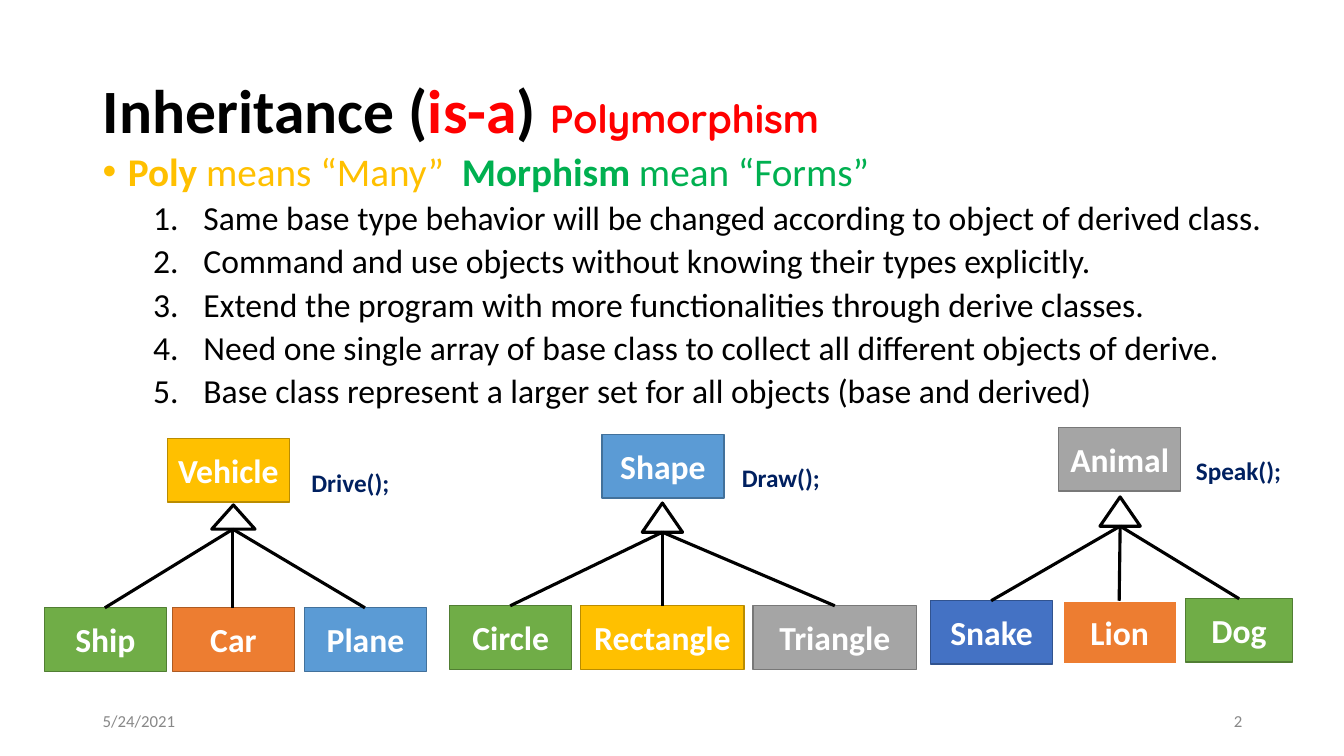
import pptx
import pptx.util
import pptx.dml.color
import pptx.enum.shapes
import pptx.enum.text
from lxml import etree

PX = 9144  # 100 px to the inch
RGB = pptx.dml.color.RGBColor
SHAPES = pptx.enum.shapes.MSO_SHAPE
ALIGN = pptx.enum.text.PP_ALIGN
MIDDLE = pptx.enum.text.MSO_ANCHOR.MIDDLE
A = "{http://schemas.openxmlformats.org/drawingml/2006/main}"

BLACK = RGB(0x00, 0x00, 0x00)
WHITE = RGB(0xFF, 0xFF, 0xFF)
RED = RGB(0xFF, 0x00, 0x00)
EMERALD = RGB(0x00, 0xB0, 0x50)
NAVY = RGB(0x00, 0x20, 0x60)
FOOTER_GRAY = RGB(0x88, 0x88, 0x88)
GOLD = RGB(0xFF, 0xC0, 0x00)
SKY = RGB(0x5B, 0x9B, 0xD5)
BLUE = RGB(0x44, 0x72, 0xC4)
GREEN = RGB(0x70, 0xAD, 0x47)
ORANGE = RGB(0xED, 0x7D, 0x31)
GRAY = RGB(0xA5, 0xA5, 0xA5)
OUTLINES = {
    GOLD: RGB(0xBA, 0x8C, 0x00),
    SKY: RGB(0x42, 0x71, 0x9B),
    BLUE: RGB(0x31, 0x53, 0x8F),
    GREEN: RGB(0x51, 0x7E, 0x33),
    ORANGE: RGB(0xAC, 0x5B, 0x23),
    GRAY: RGB(0x78, 0x78, 0x78),
}


def add_run(paragraph, text, size, color, bold=False, font="Calibri"):
    run = paragraph.add_run()
    run.text = text
    run.font.size = pptx.util.Pt(size)
    run.font.color.rgb = color
    run.font.bold = bold
    run.font.name = font


def add_figure(shapes, preset, box, fill, outline, weight):
    """Add a filled preset shape; box is left, top, width, height in px."""
    figure = shapes.add_shape(preset, *[n * PX for n in box])
    figure.shadow.inherit = False
    figure.fill.solid()
    figure.fill.fore_color.rgb = fill
    figure.line.color.rgb = outline
    figure.line.width = pptx.util.Pt(weight)
    return figure


deck = pptx.Presentation()
deck.slide_width, deck.slide_height = 1333 * PX, 750 * PX
slide = deck.slides.add_slide(deck.slide_layouts[5])

# Title
title = slide.shapes.title
title.left, title.top, title.width, title.height = [n * PX for n in (92, 40, 1150, 145)]
title.text_frame.vertical_anchor = MIDDLE
title.text_frame.auto_size = pptx.enum.text.MSO_AUTO_SIZE.NONE
heading = title.text_frame.paragraphs[0]
heading.alignment = ALIGN.LEFT
heading.line_spacing = 0.9
add_run(heading, "Inheritance (", 44, BLACK, True)
add_run(heading, "is-a", 44, RED, True)
add_run(heading, ") ", 44, BLACK, True)
add_run(heading, "Polymorphism", 28, RED, True, "Quicksand")

# Date and slide number
for text, left, alignment in (("5/24/2021", 92, ALIGN.LEFT), ("2", 942, ALIGN.RIGHT)):
    footer = slide.shapes.add_textbox(left * PX, 695 * PX, 300 * PX, 40 * PX).text_frame
    footer.word_wrap = True
    footer.vertical_anchor = MIDDLE
    footer.paragraphs[0].alignment = alignment
    add_run(footer.paragraphs[0], text, 12, FOOTER_GRAY)

# Definition and numbered points
body = slide.shapes.add_textbox(92 * PX, 146 * PX, 1190 * PX, 549 * PX).text_frame
body.word_wrap = True
definition = body.paragraphs[0]
definition.line_spacing = 0.9
properties = definition._p.get_or_add_pPr()
properties.set("marL", str(25 * PX))
properties.set("indent", str(-25 * PX))
bullet_color = etree.SubElement(properties, A + "buClr")
etree.SubElement(bullet_color, A + "srgbClr", val=str(GOLD))
etree.SubElement(properties, A + "buFont", typeface="Arial")
etree.SubElement(properties, A + "buChar", char="•")
add_run(definition, "Poly", 28, GOLD, True)
add_run(definition, " means “Many”  ", 28, GOLD)
add_run(definition, "Morphism", 28, EMERALD, True)
add_run(definition, " mean “Forms”", 28, EMERALD)

for point in (
    "Same base type behavior will be changed according to object of derived class.",
    "Command and use objects without knowing their types explicitly.",
    "Extend the program with more functionalities through derive classes.",
    "Need one single array of base class to collect all different objects of derive.",
    "Base class represent a larger set for all objects (base and derived)",
):
    item = body.add_paragraph()
    item.level = 1
    item.line_spacing = 0.9
    item.space_before = pptx.util.Pt(5)
    properties = item._p.get_or_add_pPr()
    properties.set("marL", str(100 * PX))
    properties.set("indent", str(-50 * PX))
    etree.SubElement(properties, A + "buFont", typeface="+mj-lt")
    etree.SubElement(properties, A + "buAutoNum", type="arabicPeriod")
    add_run(item, point, 24, BLACK)

# Class hierarchies: base class, its method, inheritance arrowhead, derived classes
BOX_HEIGHT = 63
hierarchies = (
    (("Shape", 597, 431, 121, SKY), ("Draw();", 721, 455), (637, 499, 40, 29),
     (("Circle", 446, 601, 121, GREEN), ("Rectangle", 576, 601, 162, GOLD),
      ("Triangle", 747, 601, 162, GRAY))),
    (("Vehicle", 166, 435, 121, GOLD), ("Drive();", 294, 460), (210, 501, 43, 24),
     (("Ship", 44, 603, 121, GREEN), ("Car", 171, 603, 121, ORANGE),
      ("Plane", 302, 603, 121, SKY))),
    (("Animal", 1050, 424, 121, GRAY), ("Speak();", 1175, 448), (1091, 493, 40, 29),
     (("Snake", 923, 596, 121, BLUE), ("Lion", 1054, 596, 113, ORANGE),
      ("Dog", 1176, 594, 106, GREEN))),
)
for base, (method, method_left, method_top), arrowhead, derived in hierarchies:
    group = slide.shapes.add_group_shape().shapes

    for name, left, top, width, fill in (base, *derived):
        outline, weight = (WHITE, 1.5) if name == "Lion" else (OUTLINES[fill], 1)
        class_box = add_figure(group, SHAPES.RECTANGLE, (left, top, width, BOX_HEIGHT),
                               fill, outline, weight)
        class_box.text_frame.vertical_anchor = MIDDLE
        class_box.text_frame.paragraphs[0].alignment = ALIGN.CENTER
        add_run(class_box.text_frame.paragraphs[0], name, 24, WHITE, True)

    add_figure(group, SHAPES.ISOSCELES_TRIANGLE, arrowhead, WHITE, BLACK, 2.25)
    head_left, head_top, head_width, head_height = arrowhead
    for name, left, top, width, fill in derived:
        branch = group.add_connector(
            pptx.enum.shapes.MSO_CONNECTOR.STRAIGHT,
            (left + width // 2) * PX, top * PX,
            (head_left + head_width // 2) * PX, (head_top + head_height) * PX)
        branch.line.color.rgb = BLACK
        branch.line.width = pptx.util.Pt(2.25)
        etree.SubElement(branch._element.spPr, A + "effectLst")

    call = group.add_textbox(method_left * PX, method_top * PX, 107 * PX, 37 * PX).text_frame
    call.word_wrap = True
    call.vertical_anchor = MIDDLE
    call.paragraphs[0].alignment = ALIGN.CENTER
    add_run(call.paragraphs[0], method, 18, NAVY, True)

deck.save("out.pptx")
